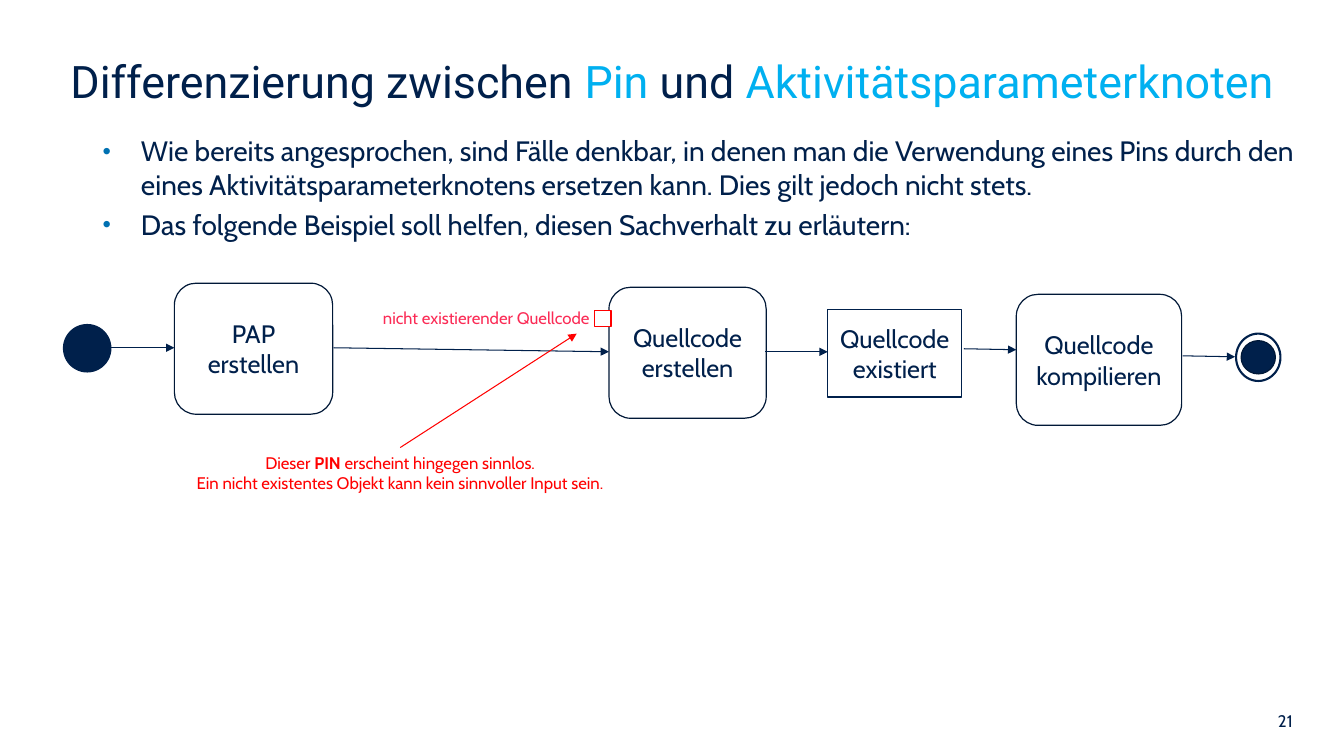
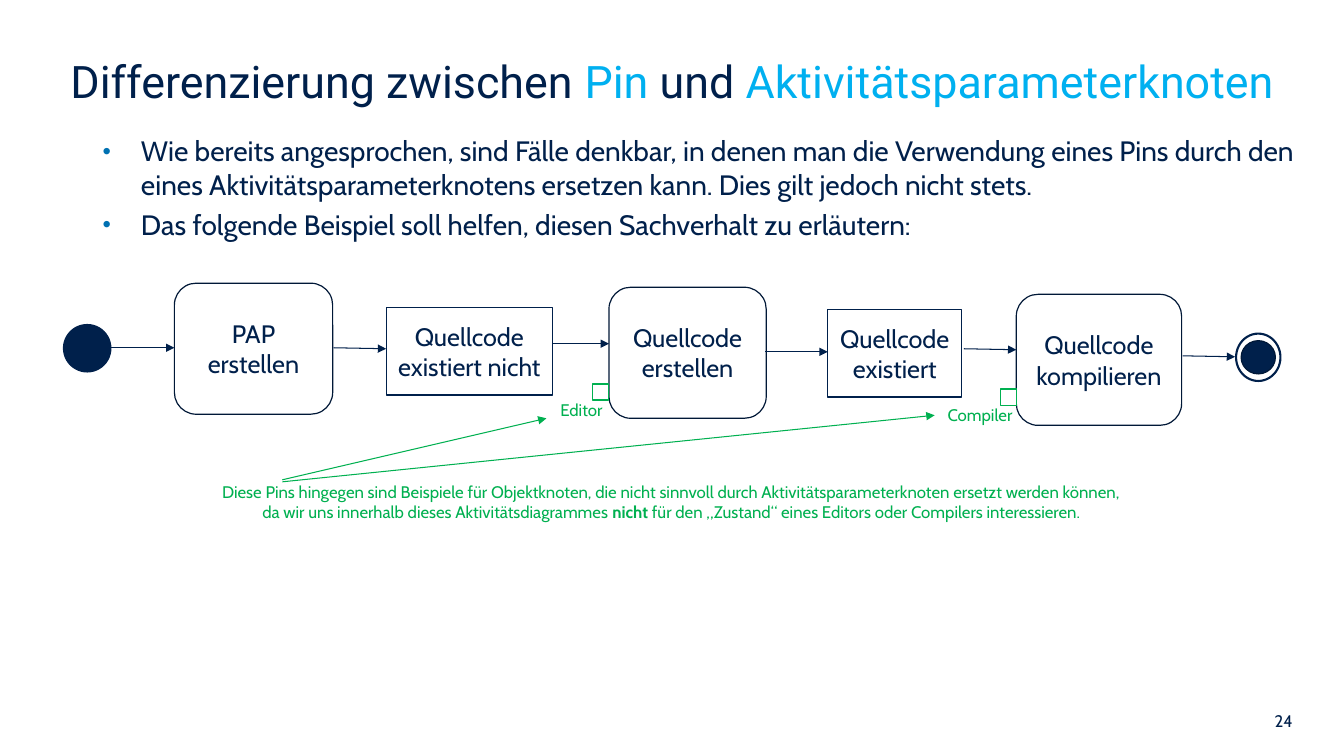
from dataclasses import dataclass
from typing import Any

from lxml.etree import SubElement
from pptx import Presentation
from pptx.dml.color import RGBColor
from pptx.enum.shapes import MSO_CONNECTOR, MSO_SHAPE
from pptx.enum.text import MSO_ANCHOR, PP_ALIGN
from pptx.oxml.ns import qn
from pptx.slide import Slide
from pptx.text.text import TextFrame
from pptx.util import Inches, Pt

NAVY = RGBColor(0x00, 0x20, 0x4B)
DARK_NAVY = RGBColor(0x00, 0x18, 0x37)
CYAN = RGBColor(0x00, 0xB0, 0xF0)
BULLET_BLUE = RGBColor(0x00, 0x71, 0xB2)
WHITE = RGBColor(0xFF, 0xFF, 0xFF)
RED = RGBColor(0xFF, 0x00, 0x00)
PINK = RGBColor(0xFB, 0x2B, 0x55)
GREEN = RGBColor(0x00, 0xB0, 0x50)

TITLE_FONT = {"name": "Roboto", "size": Pt(32)}
BODY_FONT = {"name": "Cabin", "size": Pt(20)}
NODE_FONT = {"name": "Cabin", "size": Pt(18)}
NOTE_FONT = {"name": "Cabin", "size": Pt(12)}
CENTERED = {"alignment": PP_ALIGN.CENTER}
PIN_SIZE = 0.16
ACTION_HEIGHT = 1.3
OBJECT_HEIGHT = 0.87


@dataclass(frozen=True)
class Span:
    text: str
    color: RGBColor
    bold: bool = False


@dataclass(frozen=True)
class Node:
    left: float
    top: float
    width: float
    height: float
    kind: MSO_SHAPE = MSO_SHAPE.RECTANGLE
    fill: RGBColor = WHITE
    line: RGBColor = NAVY
    weight: float = 0.85
    lines: tuple[str, ...] = ()


@dataclass(frozen=True)
class Arrow:
    start: tuple[float, float]
    end: tuple[float, float]
    color: RGBColor = NAVY


@dataclass(frozen=True)
class Label:
    left: float
    top: float
    width: float
    height: float
    lines: list[list[Span]]
    centered: bool = False


def action(left: float, top: float, width: float, *lines: str) -> Node:
    return Node(left, top, width, ACTION_HEIGHT, MSO_SHAPE.ROUNDED_RECTANGLE,
                line=DARK_NAVY, lines=lines)


def object_node(left: float, top: float, width: float, *lines: str) -> Node:
    return Node(left, top, width, OBJECT_HEIGHT, lines=lines)


def pin(left: float, top: float, color: RGBColor) -> Node:
    return Node(left, top, PIN_SIZE, PIN_SIZE, line=color)


TITLE = [[
    Span("Differenzierung zwischen ", NAVY),
    Span("Pin ", CYAN),
    Span("und", NAVY),
    Span(" Aktivitätsparameterknoten", CYAN),
]]
BULLETS = [
    [Span("Wie bereits angesprochen, sind Fälle denkbar, in denen man die Verwendung "
          "eines Pins durch den eines Aktivitätsparameterknotens ersetzen kann. "
          "Dies gilt jedoch nicht stets.", NAVY)],
    [Span("Das folgende Beispiel soll helfen, diesen Sachverhalt zu erläutern:", NAVY)],
]

FLOW = [
    Node(0.63, 3.22, 0.47, 0.47, MSO_SHAPE.OVAL, fill=NAVY),
    action(1.73, 2.81, 1.57, "PAP", "erstellen"),
    action(6.04, 2.85, 1.56, "Quellcode", "erstellen"),
    object_node(8.21, 3.07, 1.33, "Quellcode", "existiert"),
    action(10.08, 2.92, 1.64, "Quellcode", "kompilieren"),
    Node(12.26, 3.31, 0.44, 0.47, MSO_SHAPE.OVAL, weight=1.5),
    Node(12.31, 3.38, 0.34, 0.33, MSO_SHAPE.OVAL, fill=NAVY, line=DARK_NAVY),
    Arrow((1.1, 3.45), (1.73, 3.45)),
    Arrow((7.59, 3.49), (8.21, 3.49)),
    Arrow((9.56, 3.46), (10.08, 3.47)),
    Arrow((11.73, 3.53), (12.25, 3.54)),
]

SENSELESS_PIN = [
    Arrow((3.31, 3.45), (6.04, 3.49)),
    pin(5.9, 3.08, RED),
    Label(3.7, 3, 2.27, 0.3, [[Span("nicht existierender Quellcode", PINK)]]),
    Label(1.8, 4.44, 4.34, 0.5, [
        [Span("Dieser ", RED), Span("PIN", RED, True),
         Span(" erscheint hingegen sinnlos.", RED)],
        [Span("Ein nicht existentes Objekt kann kein sinnvoller Input sein.", RED)],
    ], centered=True),
    Arrow((3.97, 4.44), (5.72, 3.31), RED),
]

USEFUL_PINS = [
    object_node(3.83, 3.05, 1.65, "Quellcode", "existiert nicht"),
    Arrow((3.31, 3.45), (3.83, 3.46)),
    Arrow((5.48, 3.41), (6.04, 3.41)),
    pin(5.88, 3.81, GREEN),
    Label(5.46, 3.92, 0.62, 0.3, [[Span("Editor", GREEN)]]),
    pin(9.92, 3.86, GREEN),
    Label(9.3, 3.97, 0.85, 0.3, [[Span("Compiler", GREEN)]]),
    Label(1.99, 4.73, 9.34, 0.5, [
        [Span("Diese Pins hingegen sind Beispiele für Objektknoten, die nicht sinnvoll "
              "durch Aktivitätsparameterknoten ersetzt werden können,", GREEN)],
        [Span("da wir uns innerhalb dieses Aktivitätsdiagrammes ", GREEN),
         Span("nicht", GREEN, True),
         Span(" für den „Zustand“ eines Editors oder Compilers interessieren.", GREEN)],
    ], centered=True),
    Arrow((2.8, 4.78), (9.27, 4.12), GREEN),
    Arrow((2.8, 4.76), (5.42, 4.15), GREEN),
]


def set_format(target: Any, values: dict[str, Any]) -> None:
    for name, value in values.items():
        setattr(target, name, value)


def write(frame: TextFrame, lines: list[list[Span]], font: dict[str, Any],
          layout: dict[str, Any]) -> None:
    """Fill the frame with one paragraph for each list of spans."""
    for index, spans in enumerate(lines):
        para = frame.add_paragraph() if index else frame.paragraphs[0]
        set_format(para, layout)
        for span in spans:
            run = para.add_run()
            run.text = span.text
            set_format(run.font, font | {"bold": span.bold})
            run.font.color.rgb = span.color


def add_text(page: Slide, left: float, top: float, width: float, height: float,
             lines: list[list[Span]], font: dict[str, Any],
             layout: dict[str, Any], wrap: bool = True) -> TextFrame:
    box = page.shapes.add_textbox(Inches(left), Inches(top), Inches(width), Inches(height))
    box.text_frame.word_wrap = wrap
    write(box.text_frame, lines, font, layout)
    return box.text_frame


def add_bullets(frame: TextFrame) -> None:
    for para in frame.paragraphs:
        properties = para._p.get_or_add_pPr()
        properties.set("marL", str(Inches(0.38)))
        properties.set("indent", str(-Inches(0.38)))
        color = SubElement(properties, qn("a:buClr"))
        SubElement(color, qn("a:srgbClr"), val=str(BULLET_BLUE))
        SubElement(properties, qn("a:buSzPct"), val="85000")
        SubElement(properties, qn("a:buFont"), typeface="Arial")
        SubElement(properties, qn("a:buChar"), char="•")


def draw_node(page: Slide, node: Node) -> None:
    shape = page.shapes.add_shape(node.kind, Inches(node.left), Inches(node.top),
                                  Inches(node.width), Inches(node.height))
    shape.shadow.inherit = False
    shape.fill.solid()
    shape.fill.fore_color.rgb = node.fill
    shape.line.color.rgb = node.line
    shape.line.width = Pt(node.weight)
    if node.lines:
        set_format(shape.text_frame,
                   {"word_wrap": False, "vertical_anchor": MSO_ANCHOR.MIDDLE})
        write(shape.text_frame, [[Span(line, NAVY)] for line in node.lines],
              NODE_FONT, CENTERED)


def draw_arrow(page: Slide, arrow: Arrow) -> None:
    points = [Inches(value) for value in (*arrow.start, *arrow.end)]
    connector = page.shapes.add_connector(MSO_CONNECTOR.STRAIGHT, *points)
    connector.line.color.rgb = arrow.color
    connector.line.width = Pt(0.75)
    SubElement(connector.line._get_or_add_ln(), qn("a:tailEnd"), type="triangle")
    SubElement(connector._element.spPr, qn("a:effectLst"))


def draw_label(page: Slide, label: Label) -> None:
    add_text(page, label.left, label.top, label.width, label.height, label.lines,
             NOTE_FONT, CENTERED if label.centered else {}, wrap=False)


DRAW = {Node: draw_node, Arrow: draw_arrow, Label: draw_label}


def add_page(deck: Any, number: int, details: list[Node | Arrow | Label]) -> None:
    page = deck.slides.add_slide(deck.slide_layouts[6])
    add_text(page, 8.45, 7, 4.47, 0.4, [[Span(str(number), NAVY)]], NOTE_FONT,
             {"alignment": PP_ALIGN.RIGHT})
    add_text(page, 0.6, 0.48, 12.4, 0.79, TITLE, TITLE_FONT, {})
    add_bullets(add_text(page, 0.92, 1.28, 12.28, 1.3, BULLETS, BODY_FONT,
                         {"space_before": Pt(4.5)}))
    for element in FLOW + details:
        DRAW[type(element)](page, element)


def main() -> None:
    deck = Presentation()
    set_format(deck, {"slide_width": Inches(13.33), "slide_height": Inches(7.5)})
    for number, details in ((21, SENSELESS_PIN), (24, USEFUL_PINS)):
        add_page(deck, number, details)
    deck.save("out.pptx")


if __name__ == "__main__":
    main()
